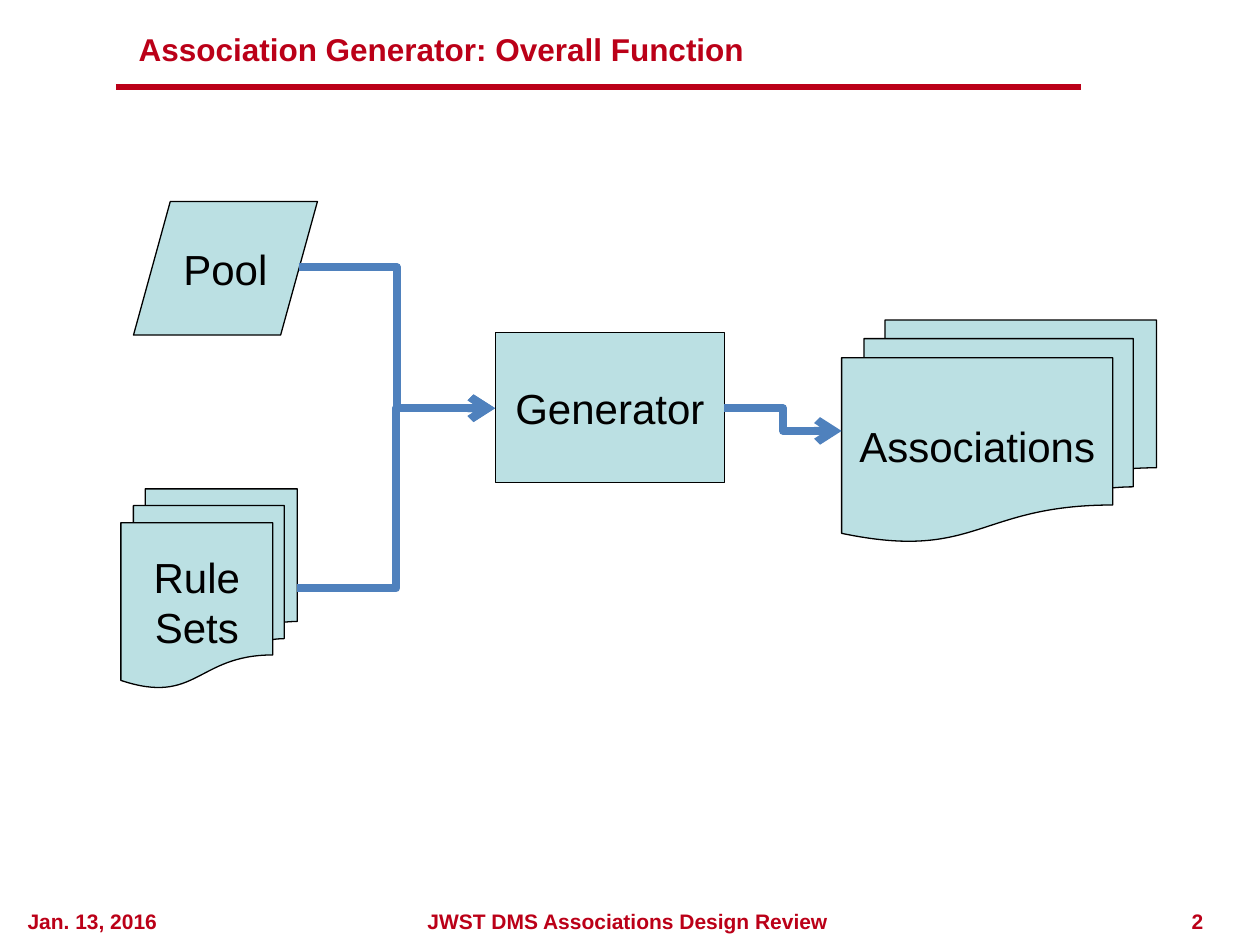
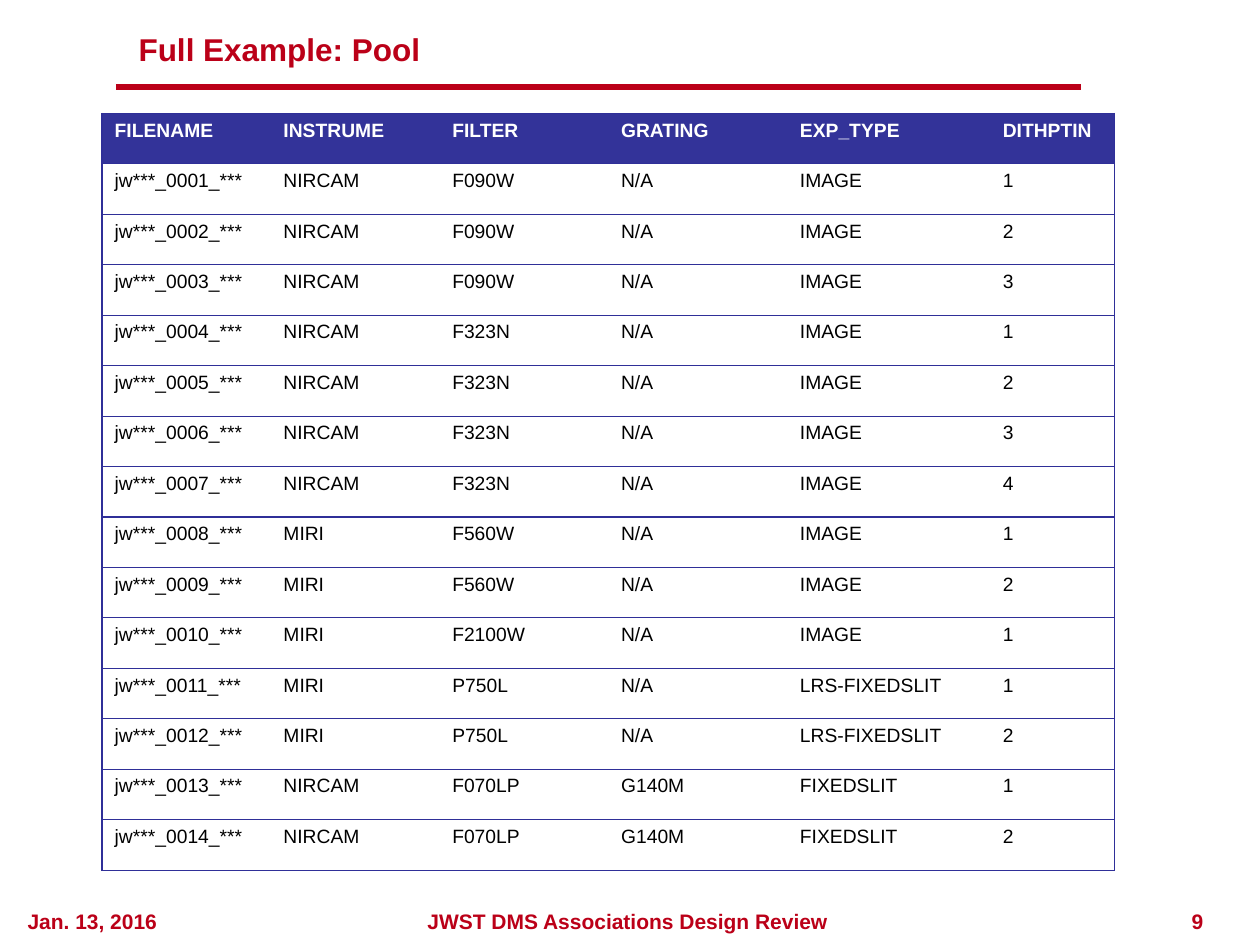
"""Build two design review slides: the generator flow and the example pool table."""
import pptx
import pptx.util
import pptx.dml.color
import pptx.enum.shapes
import pptx.enum.text
import pptx.oxml
import pptx.oxml.ns

Inches = pptx.util.Inches
Pt = pptx.util.Pt
Color = pptx.dml.color.RGBColor.from_string
Shape = pptx.enum.shapes.MSO_SHAPE
Connector = pptx.enum.shapes.MSO_CONNECTOR
Align = pptx.enum.text.PP_ALIGN
Anchor = pptx.enum.text.MSO_ANCHOR
AutoSize = pptx.enum.text.MSO_AUTO_SIZE

THEME = {
    "font": "Arial",
    "red": "BB0018",
    "node": "BBE0E3",
    "arrow": "4F81BD",
    "header": "333399",
    "grid": "2F2F98",
    "black": "000000",
    "white": "FFFFFF",
    "title_size": 18,
    "footer_size": 12,
    "node_size": 24,
    "table_size": 11,
}


def write_text(frame, text, size, color, bold=False, align=Align.LEFT, **frame_format):
    for name, value in frame_format.items():
        setattr(frame, name, value)
    frame.text = text
    font_format = {"name": THEME["font"], "size": Pt(THEME[size]), "bold": bold}
    for para in frame.paragraphs:
        para.alignment = align
        for span in para.runs:
            for name, value in font_format.items():
                setattr(span.font, name, value)
            span.font.color.rgb = Color(THEME[color])


def draw_line(page, kind, start, end, color, width):
    ends = [Inches(value) for value in (*start, *end)]
    line = page.shapes.add_connector(kind, *ends)
    line.line.color.rgb = Color(THEME[color])
    line.line.width = Pt(width)
    properties = line._element.spPr
    properties.append(pptx.oxml.parse_xml(f"<a:effectLst {pptx.oxml.ns.nsdecls('a')}/>"))
    return line


deck = pptx.Presentation()
deck.slide_width, deck.slide_height = Inches(10), Inches(7.5)
title_only = deck.slide_layouts[5]

pages = []
for title, number in [("Association Generator: Overall Function", "2"), ("Full Example: Pool", "9")]:
    page = deck.slides.add_slide(title_only)
    pages.append(page)
    draw_line(page, Connector.STRAIGHT, (0.92, 0.69), (8.58, 0.69), "red", 3)

    title_place = {"left": 1, "top": 0.17, "width": 7.58, "height": 0.44}
    for name, value in title_place.items():
        setattr(page.shapes.title, name, Inches(value))
    write_text(page.shapes.title.text_frame, title, "title_size", "red", bold=True,
               vertical_anchor=Anchor.MIDDLE, word_wrap=True, auto_size=AutoSize.NONE)

    footers = [
        ("Jan. 13, 2016", 0.12, 1.49, Align.LEFT, True),
        ("JWST DMS Associations Design Review ", 1.7, 6.61, Align.CENTER, True),
        (number, 9.36, 0.41, Align.LEFT, False),
    ]
    for text, left, width, align, wrap in footers:
        box = page.shapes.add_textbox(Inches(left), Inches(7.16), Inches(width), Inches(0.3))
        write_text(box.text_frame, text, "footer_size", "red", bold=True, align=align, word_wrap=wrap)

flow_page, pool_page = pages

nodes = [
    ("Rule\nSets", Shape.FLOWCHART_MULTIDOCUMENT, 0.96, 3.88, 1.4, 1.58),
    ("Pool", Shape.FLOWCHART_DATA, 1.06, 1.6, 1.46, 1.06),
    ("Generator", Shape.FLOWCHART_PROCESS, 3.93, 2.64, 1.82, 1.19),
    ("Associations", Shape.FLOWCHART_MULTIDOCUMENT, 6.68, 2.54, 2.5, 1.76),
]
for text, kind, *place in nodes:
    node = flow_page.shapes.add_shape(kind, *[Inches(value) for value in place])
    node.shadow.inherit = False
    node.fill.solid()
    node.fill.fore_color.rgb = Color(THEME["node"])
    node.line.color.rgb = Color(THEME["black"])
    node.line.width = Pt(0.75)
    write_text(node.text_frame, text, "node_size", "black", align=Align.CENTER,
               vertical_anchor=Anchor.MIDDLE, word_wrap=False)

generator_in, generator_out = (3.93, 3.24), (5.75, 3.24)
flows = [
    ((2.37, 2.12), generator_in),
    ((2.36, 4.67), generator_in),
    (generator_out, (6.68, 3.42)),
]
for start, end in flows:
    arrow = draw_line(flow_page, Connector.ELBOW, start, end, "arrow", 4.5)
    arrow.line._get_or_add_ln().append(
        pptx.oxml.parse_xml(f'<a:tailEnd {pptx.oxml.ns.nsdecls("a")} type="arrow"/>'))

columns = [
    ("FILENAME", 1.34), ("INSTRUME", 1.34), ("FILTER", 1.34),
    ("GRATING", 1.42), ("EXP_TYPE", 1.61), ("DITHPTIN", 0.99),
]
exposure_groups = [
    ("NIRCAM", "F090W", "N/A", "IMAGE", 3),
    ("NIRCAM", "F323N", "N/A", "IMAGE", 4),
    ("MIRI", "F560W", "N/A", "IMAGE", 2),
    ("MIRI", "F2100W", "N/A", "IMAGE", 1),
    ("MIRI", "P750L", "N/A", "LRS-FIXEDSLIT", 2),
    ("NIRCAM", "F070LP", "G140M", "FIXEDSLIT", 2),
]
rows = [[name for name, width in columns]]
for *settings, dither_count in exposure_groups:
    for dither in range(1, dither_count + 1):
        rows.append([f"jw***_{len(rows):04}_***", *settings, str(dither)])

pool_frame = pool_page.shapes.add_table(
    len(rows), len(columns), Inches(0.81), Inches(0.9), Inches(8.04), Inches(6.01))
pool = pool_frame.table
for name in ("first_row", "horz_banding"):
    setattr(pool, name, False)
for column, (name, width) in zip(pool.columns, columns):
    column.width = Inches(width)
for row in pool.rows:
    row.height = Inches(6.01 / len(rows))

for row_index, values in enumerate(rows):
    is_header = row_index == 0
    for column_index, value in enumerate(values):
        cell = pool.cell(row_index, column_index)
        sides = {
            "L": column_index == 0,
            "R": column_index == len(columns) - 1,
            "T": True,
            "B": True,
        }
        for side, visible in sides.items():
            paint = f'<a:solidFill><a:srgbClr val="{THEME["grid"]}"/></a:solidFill>' if visible else "<a:noFill/>"
            cell._tc.get_or_add_tcPr().append(pptx.oxml.parse_xml(
                f'<a:ln{side} {pptx.oxml.ns.nsdecls("a")} w="{Pt(0.75)}">{paint}</a:ln{side}>'))
        cell.fill.solid()
        cell.fill.fore_color.rgb = Color(THEME["header" if is_header else "white"])
        write_text(cell.text_frame, value, "table_size", "white" if is_header else "black", bold=is_header)

deck.save("out.pptx")
